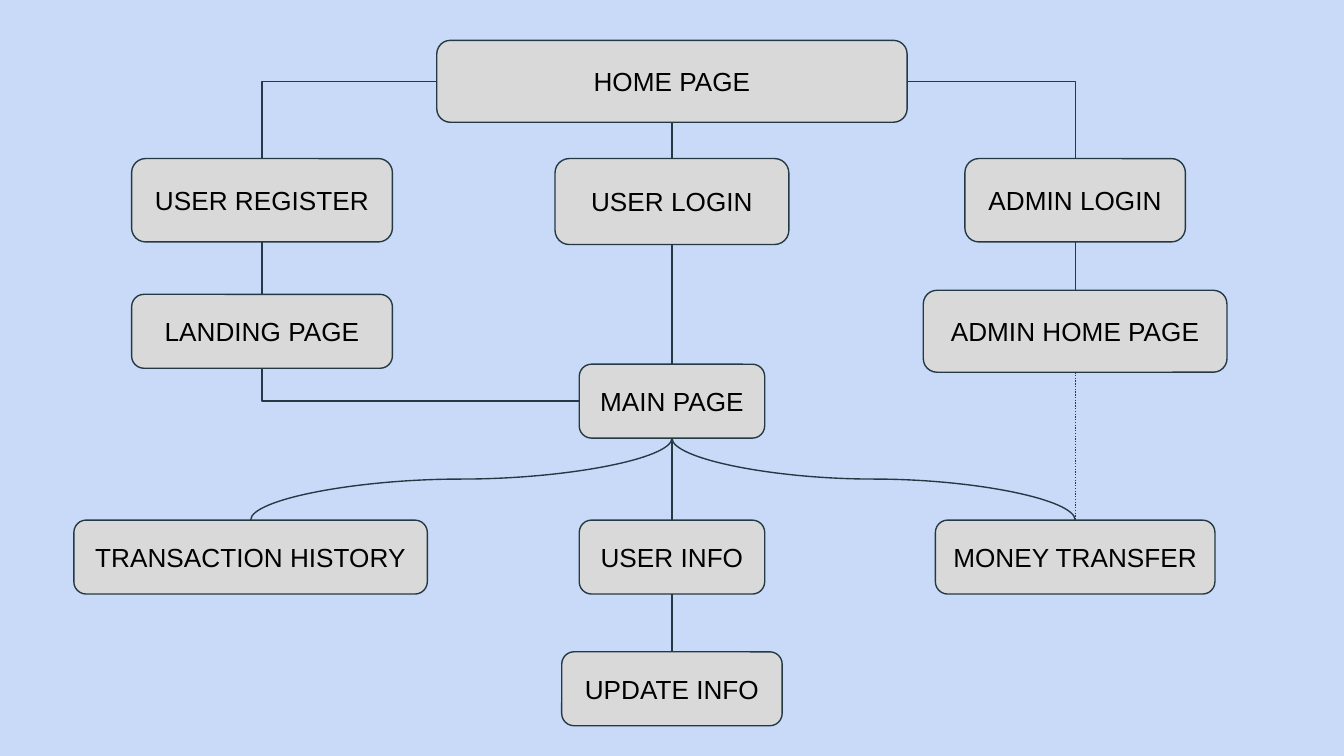
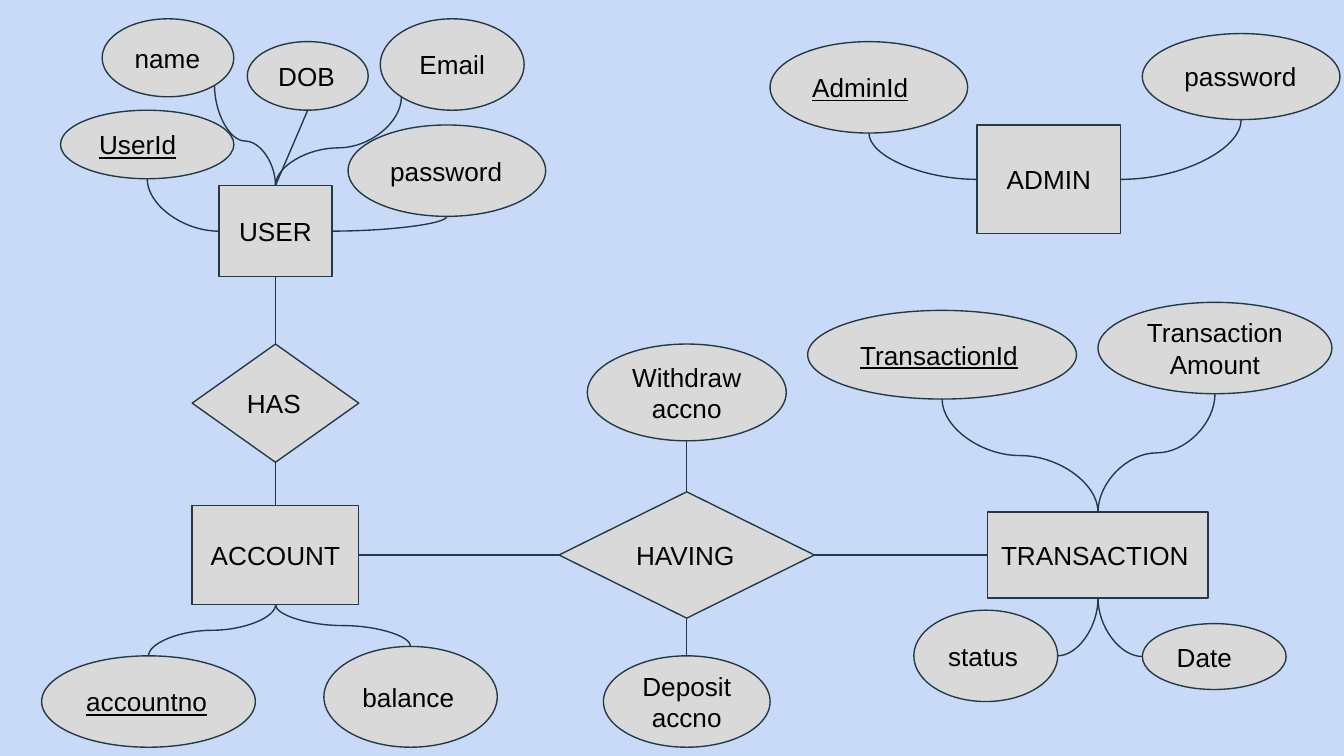
from dataclasses import dataclass
from math import sqrt
from typing import Optional

from lxml.etree import SubElement
from pptx import Presentation
from pptx.dml.color import RGBColor
from pptx.enum.dml import MSO_LINE
from pptx.enum.shapes import MSO_CONNECTOR as CONN, MSO_SHAPE as SHAPE
from pptx.enum.text import MSO_ANCHOR as ANCHOR, PP_ALIGN as ALIGN
from pptx.oxml.ns import qn
from pptx.util import Pt

PX = 9144  # 100 px to the inch
WIDTH = 1000
BACKGROUND, FILL, LINE, TEXT = "C9DAF8", "D9D9D9", "233A44", "000000"
FONT, FONT_SIZE, LINE_WIDTH, INSET = "Arial", 14, 0.75, 10

PAGE, ENTITY = SHAPE.ROUNDED_RECTANGLE, SHAPE.RECTANGLE
FIELD, RELATION = SHAPE.OVAL, SHAPE.DIAMOND
LEFT, CENTER = ALIGN.LEFT, ALIGN.CENTER

DIAGONAL = 1 / sqrt(2)
SITES = {"t": (0, -1), "l": (-1, 0), "b": (0, 1), "r": (1, 0),
         "bl": (-DIAGONAL, DIAGONAL), "br": (DIAGONAL, DIAGONAL)}
BOX_SITE_IDS = {"t": 0, "l": 1, "b": 2, "r": 3}
OVAL_SITE_IDS = {"t": 0, "l": 2, "bl": 3, "b": 4, "br": 5, "r": 6}


@dataclass
class Node:
    kind: int
    x: int
    y: int
    w: int
    h: int
    text: str
    align: int = CENTER
    key: bool = False


@dataclass
class Link:
    start: str
    start_site: str
    end: str
    end_site: str
    style: str = "straight"
    bend: Optional[int] = None
    dotted: bool = False


SITEMAP_NODES = {
    "home": Node(PAGE, 325, 30, 350, 61, "HOME PAGE"),
    "register": Node(PAGE, 98, 118, 194, 62, "USER REGISTER"),
    "login": Node(PAGE, 413, 118, 174, 64, "USER LOGIN"),
    "admin login": Node(PAGE, 718, 118, 164, 62, "ADMIN LOGIN"),
    "admin home": Node(PAGE, 687, 216, 226, 61, "ADMIN HOME PAGE"),
    "transfer": Node(PAGE, 696, 387, 208, 55, "MONEY TRANSFER"),
    "main": Node(PAGE, 431, 271, 138, 55, "MAIN PAGE"),
    "info": Node(PAGE, 431, 387, 138, 55, "USER INFO"),
    "history": Node(PAGE, 55, 387, 263, 55, "TRANSACTION HISTORY"),
    "update": Node(PAGE, 418, 485, 164, 55, "UPDATE INFO"),
    "landing": Node(PAGE, 98, 219, 194, 55, "LANDING PAGE"),
}
SITEMAP_LINKS = [
    Link("home", "l", "register", "t", "bent"),
    Link("home", "r", "admin login", "t", "bent"),
    Link("home", "b", "login", "t"),
    Link("register", "b", "landing", "t"),
    Link("landing", "b", "main", "l", "bent"),
    Link("login", "b", "main", "t"),
    Link("admin login", "b", "admin home", "t"),
    Link("main", "b", "history", "t", "curved"),
    Link("main", "b", "info", "t"),
    Link("main", "b", "transfer", "t", "curved"),
    Link("info", "b", "update", "t"),
    Link("admin home", "b", "transfer", "t", dotted=True),
]

ER_NODES = {
    "user": Node(ENTITY, 163, 138, 84, 68, "USER"),
    "transaction": Node(ENTITY, 735, 381, 164, 64, "TRANSACTION", LEFT),
    "account": Node(ENTITY, 143, 376, 124, 74, "ACCOUNT"),
    "admin": Node(ENTITY, 727, 93, 107, 81, "ADMIN"),
    "user id": Node(FIELD, 45, 82, 129, 51, "UserId", LEFT, True),
    "transaction id": Node(FIELD, 601, 231, 200, 66, "TransactionId", LEFT, True),
    "amount": Node(FIELD, 817, 225, 174, 68, "Transaction\nAmount"),
    "date": Node(FIELD, 850, 464, 107, 49, "Date", LEFT),
    "status": Node(FIELD, 680, 454, 107, 68, "status", LEFT),
    "balance": Node(FIELD, 241, 481, 129, 75, "balance", LEFT),
    "account no": Node(FIELD, 31, 488, 159, 68, "accountno", LEFT, True),
    "deposit": Node(FIELD, 449, 488, 124, 68, "Deposit\naccno"),
    "withdraw": Node(FIELD, 437, 256, 148, 72, "Withdraw\naccno"),
    "birth": Node(FIELD, 184, 31, 90, 51, "DOB", LEFT),
    "email": Node(FIELD, 283, 14, 107, 68, "Email"),
    "user password": Node(FIELD, 259, 93, 147, 68, "password", LEFT),
    "name": Node(FIELD, 76, 14, 98, 58, "name", LEFT),
    "admin password": Node(FIELD, 850, 25, 147, 64, "password", LEFT),
    "admin id": Node(FIELD, 573, 31, 147, 68, "AdminId", LEFT, True),
    "has": Node(RELATION, 143, 256, 124, 88, "HAS", LEFT),
    "having": Node(RELATION, 416, 366, 190, 94, "HAVING", LEFT),
}
ER_LINKS = [
    Link("user id", "b", "user", "l", "curved"),
    Link("birth", "b", "user", "t"),
    Link("user password", "b", "user", "r", "curved"),
    Link("name", "br", "user", "t", "curved", 55700),
    Link("email", "bl", "user", "t", "curved", 57600),
    Link("user", "b", "has", "t"),
    Link("has", "b", "account", "t"),
    Link("account", "b", "account no", "t", "curved"),
    Link("account", "b", "balance", "t", "curved"),
    Link("account", "r", "having", "l"),
    Link("having", "r", "transaction", "l"),
    Link("withdraw", "b", "having", "t"),
    Link("having", "b", "deposit", "t"),
    Link("transaction id", "b", "transaction", "t", "curved"),
    Link("amount", "b", "transaction", "t", "curved"),
    Link("transaction", "b", "status", "r", "curved"),
    Link("transaction", "b", "date", "l", "curved"),
    Link("admin id", "b", "admin", "l", "curved"),
    Link("admin password", "b", "admin", "r", "curved"),
]


def px(n):
    return round(n * PX)


def rgb(value):
    return RGBColor.from_string(value)


def add_node(slide, left, top, node):
    sp = slide.shapes.add_shape(node.kind, px(left + node.x), px(top + node.y),
                                px(node.w), px(node.h))
    sp.shadow.inherit = False
    sp.fill.solid()
    sp.fill.fore_color.rgb = rgb(FILL)
    sp.line.color.rgb = rgb(LINE)
    sp.line.width = Pt(LINE_WIDTH)
    tf = sp.text_frame
    tf.word_wrap = True
    tf.vertical_anchor = ANCHOR.MIDDLE
    tf.margin_left = tf.margin_right = tf.margin_top = tf.margin_bottom = px(INSET)
    tf.text = node.text
    for p in tf.paragraphs:
        p.alignment = node.align
        for r in p.runs:
            r.font.name, r.font.size = FONT, Pt(FONT_SIZE)
            r.font.color.rgb = rgb(TEXT)
            r.font.underline = node.key
    return sp


def site_point(sp, site):
    dx, dy = SITES[site]
    return (round(sp.left + sp.width * (1 + dx) / 2),
            round(sp.top + sp.height * (1 + dy) / 2))


def turn_downwards(cxn, x1, y1, x2, y2):
    """Make a connector leave its start downwards instead of sideways."""
    w, h = abs(y2 - y1), abs(x2 - x1)
    cxn.left, cxn.top = (x1 + x2 - w) // 2, (y1 + y2 - h) // 2
    cxn.width, cxn.height = w, h
    xfrm = cxn.element.spPr.find(qn("a:xfrm"))
    to_right = x2 > x1
    xfrm.set("rot", str((270 if to_right else 90) * 60000))
    xfrm.set("flipH", "1" if to_right else "0")


def set_route(cxn, link):
    """Choose one or two turns, and where the middle turn falls."""
    upright = [site not in "lr" for site in (link.start_site, link.end_site)]
    turns = 3 if upright[0] == upright[1] else 2
    geom = cxn.element.spPr.find(qn("a:prstGeom"))
    geom.set("prst", f"{link.style}Connector{turns}")
    if link.bend:
        guides = geom.find(qn("a:avLst"))
        if guides is None:
            guides = SubElement(geom, qn("a:avLst"))
        SubElement(guides, qn("a:gd"), name="adj1", fmla=f"val {link.bend}")
    return upright[0]


def glue(cxn, tag, sp, kind, site):
    ids = OVAL_SITE_IDS if kind == FIELD else BOX_SITE_IDS
    SubElement(cxn.element.nvCxnSpPr.cNvCxnSpPr, qn(tag),
               id=str(sp.shape_id), idx=str(ids[site]))


def add_link(slide, shapes, nodes, link):
    start, end = shapes[link.start], shapes[link.end]
    points = site_point(start, link.start_site) + site_point(end, link.end_site)
    cxn = slide.shapes.add_connector(CONN.STRAIGHT, *points)
    if link.style != "straight" and set_route(cxn, link):
        turn_downwards(cxn, *points)
    glue(cxn, "a:stCxn", start, nodes[link.start].kind, link.start_site)
    glue(cxn, "a:endCxn", end, nodes[link.end].kind, link.end_site)
    cxn.line.color.rgb = rgb(LINE)
    cxn.line.width = Pt(LINE_WIDTH)
    if link.dotted:
        cxn.line.dash_style = MSO_LINE.ROUND_DOT
    SubElement(cxn.element.spPr, qn("a:effectLst"))


def add_diagram(prs, left, top, nodes, links):
    slide = prs.slides.add_slide(prs.slide_layouts[6])
    fill = slide.background.fill
    fill.solid()
    fill.fore_color.rgb = rgb(BACKGROUND)
    shapes = {name: add_node(slide, left, top, node) for name, node in nodes.items()}
    for link in links:
        add_link(slide, shapes, nodes, link)


def main():
    prs = Presentation()
    prs.slide_width = px(WIDTH)
    prs.slide_height = px(WIDTH * 9 / 16)
    add_diagram(prs, 0, 0, SITEMAP_NODES, SITEMAP_LINKS)
    add_diagram(prs, 0, 0, ER_NODES, ER_LINKS)
    prs.save("out.pptx")


if __name__ == "__main__":
    main()
